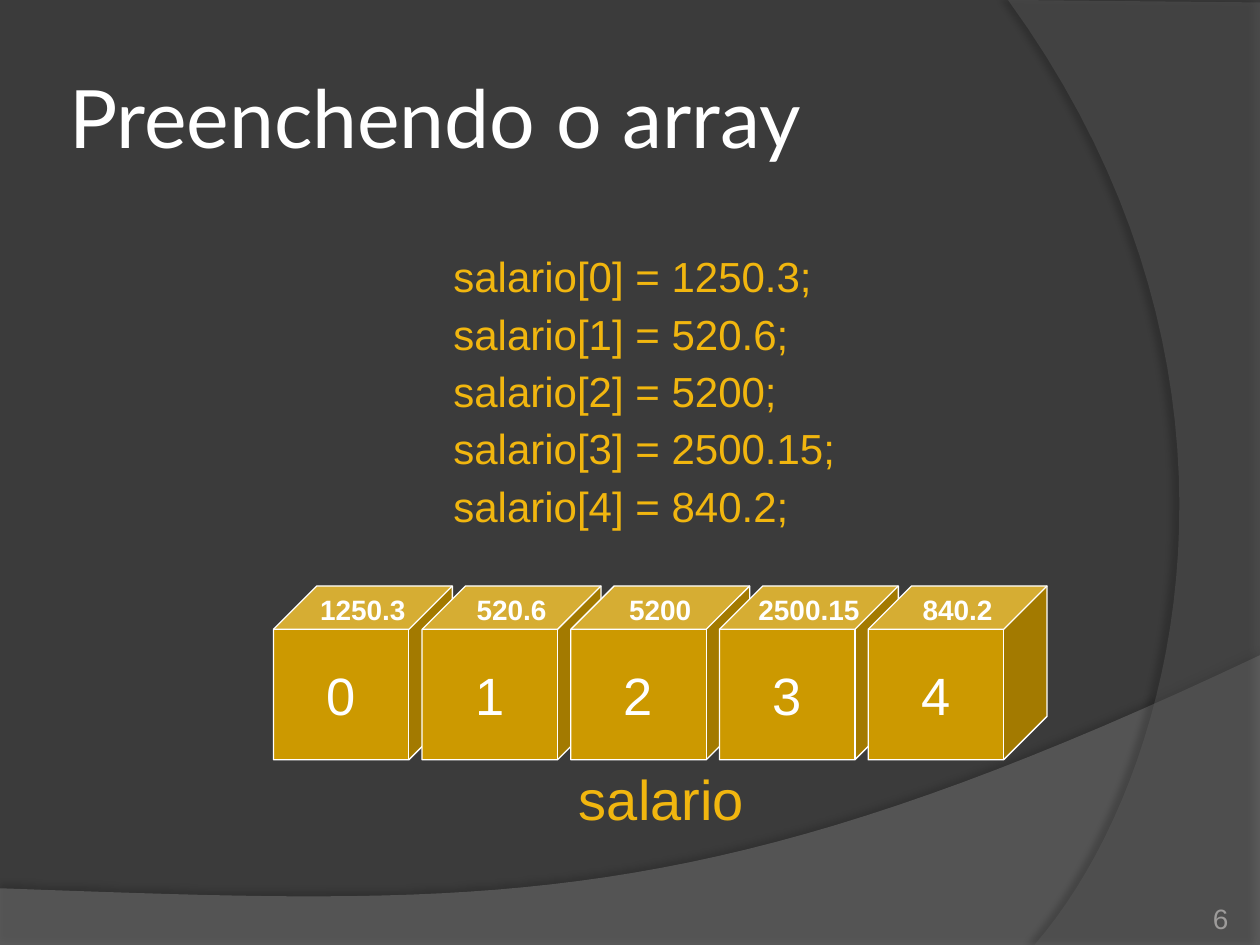
import dataclasses

import lxml.etree
import pptx
import pptx.dml.color
import pptx.enum.shapes
import pptx.enum.text
import pptx.oxml.ns
import pptx.util

Inches = pptx.util.Inches
Pt = pptx.util.Pt
ALIGN = pptx.enum.text.PP_ALIGN
ANCHOR = pptx.enum.text.MSO_ANCHOR
qn = pptx.oxml.ns.qn


@dataclasses.dataclass(frozen=True)
class Theme:
    background: str = "3B3B3B"
    wave: str = "7F7F7F"
    arc: str = "5E5E5E"
    gold: str = "CC9900"
    accent: str = "F1B60F"
    white: str = "FFFFFF"
    muted: str = "9D9B9A"
    title_font: str = "Lato"
    body_font: str = "Arial"
    title_size: float = 46
    code_size: float = 24
    index_size: float = 30
    name_size: float = 32
    small_size: float = 16


THEME = Theme()
SALARIES = ["1250.3", "520.6", "5200", "2500.15", "840.2"]


def rgb(color):
    """Turn a hex string into a colour."""
    return pptx.dml.color.RGBColor.from_string(color)


def write(sp, text, size, color=THEME.white, font=THEME.body_font, bold=False,
          align=ALIGN.LEFT, anchor=ANCHOR.TOP, before=0, wrap=True, inset=(0.1, 0.05)):
    """Put formatted text into a shape, one paragraph per line."""
    tf = sp.text_frame
    tf.word_wrap = wrap
    tf.auto_size = pptx.enum.text.MSO_AUTO_SIZE.NONE
    tf.vertical_anchor = anchor
    tf.margin_left = tf.margin_right = Inches(inset[0])
    tf.margin_top = tf.margin_bottom = Inches(inset[1])
    tf.text = text
    for p in tf.paragraphs:
        p.alignment = align
        p.space_before = Pt(before)
        for r in p.runs:
            r.font.size = Pt(size)
            r.font.name = font
            r.font.bold = bold
            r.font.color.rgb = rgb(color)


def add_text(s, box, text, size, **fmt):
    """Add a text box at the given left, top, width and height."""
    sp = s.shapes.add_textbox(*map(Inches, box))
    write(sp, text, size, **fmt)


def add_cube(s, box, text):
    """Add one array cell with its index on the front."""
    sp = s.shapes.add_shape(pptx.enum.shapes.MSO_SHAPE.CUBE, *map(Inches, box))
    sp.shadow.inherit = False
    sp.fill.solid()
    sp.fill.fore_color.rgb = rgb(THEME.gold)
    sp.line.color.rgb = rgb(THEME.white)
    sp.line.width = Pt(0.75)
    write(sp, text, THEME.index_size, align=ALIGN.CENTER, anchor=ANCHOR.MIDDLE,
          before=7.5, wrap=False)


def bezier(p0, p1, p2, p3, steps=40):
    """List points along a cubic curve."""
    points = []
    for i in range(steps + 1):
        t = i / steps
        u = 1 - t
        points.append(tuple(
            u**3 * a + 3 * u * u * t * b + 3 * u * t * t * c + t**3 * d
            for a, b, c, d in zip(p0, p1, p2, p3)))
    return points


def set_alpha(color_element, percent):
    """Set the opacity of a colour element."""
    alpha = lxml.etree.SubElement(color_element, qn("a:alpha"))
    alpha.set("val", str(percent * 1000))


def add_swoosh(s, points, color, opacity, shade, distance, angle):
    """Add a translucent background outline with a soft shadow."""
    (x, y), *rest = [(Inches(a), Inches(b)) for a, b in points]
    builder = s.shapes.build_freeform(x, y)
    builder.add_line_segments(rest, close=True)
    sp = builder.convert_to_shape()
    sp.fill.solid()
    sp.fill.fore_color.rgb = rgb(color)
    sp.line.fill.background()
    sp.shadow.inherit = False
    props = sp.element.spPr
    set_alpha(props.find(qn("a:solidFill"))[0], opacity)
    shadow = lxml.etree.SubElement(props.find(qn("a:effectLst")), qn("a:outerShdw"))
    shadow.set("blurRad", str(Pt(4)))
    shadow.set("dist", str(Pt(distance)))
    shadow.set("dir", str(angle * 60000))
    shadow.set("algn", "ctr")
    shadow.set("rotWithShape", "0")
    tint = lxml.etree.SubElement(shadow, qn("a:srgbClr"))
    tint.set("val", "000000")
    set_alpha(tint, shade)


def add_background(s):
    """Paint the dark backdrop and its two swooshes."""
    s.background.fill.solid()
    s.background.fill.fore_color.rgb = rgb(THEME.background)
    wave = bezier((10, 5.2), (5.59, 7.29), (3.91, 7.19), (0, 7.05))
    add_swoosh(s, wave + [(0, 7.51), (10, 7.51)], THEME.wave, 45, 35, 3.5, 270)
    arc = bezier((8.21, 7.5), (9.35, 6.19), (10.18, 3), (8, 0))
    add_swoosh(s, arc + [(10, 0.02), (10, 7.5)], THEME.arc, 40, 45, 4, 180)


def add_title(s, box, text):
    """Place and format the title placeholder."""
    sp = s.shapes.title
    sp.left, sp.top, sp.width, sp.height = map(Inches, box)
    write(sp, text, THEME.title_size, font=THEME.title_font, anchor=ANCHOR.MIDDLE,
          inset=(0.05, 0.05))


def add_array(s, left, top, pitch, width, height):
    """Draw the cubes and, above them, the stored values."""
    label_width = 1.06
    for i in range(len(SALARIES)):
        add_cube(s, (left + i * pitch, top, width, height), str(i))
    for i, value in enumerate(SALARIES):
        label_left = left + i * pitch + (width - label_width) / 2
        add_text(s, (label_left, top, label_width, 0.4), value, THEME.small_size,
                 bold=True, align=ALIGN.CENTER)


def main():
    """Build the slide and save it."""
    prs = pptx.Presentation()
    prs.slide_width, prs.slide_height = Inches(10), Inches(7.5)
    s = prs.slides.add_slide(prs.slide_layouts[5])
    add_background(s)
    add_title(s, (0.5, 0.3, 8.17, 1.25), "Preenchendo o array")
    code = "\n".join(f"salario[{i}] = {v};" for i, v in enumerate(SALARIES))
    add_text(s, (3.5, 1.94, 3.26, 2.35), code, THEME.code_size,
             color=THEME.accent, before=4, wrap=False)
    add_array(s, 2.17, 4.65, 1.18, 1.42, 1.38)
    add_text(s, (4.49, 6.02, 1.52, 0.64), "salario", THEME.name_size,
             color=THEME.accent, align=ALIGN.CENTER, before=9.5, wrap=False)
    add_text(s, (8.92, 7.02, 0.83, 0.4), "6", THEME.small_size, color=THEME.muted,
             align=ALIGN.RIGHT, anchor=ANCHOR.BOTTOM, inset=(0, 0))
    prs.save("out.pptx")


main()
